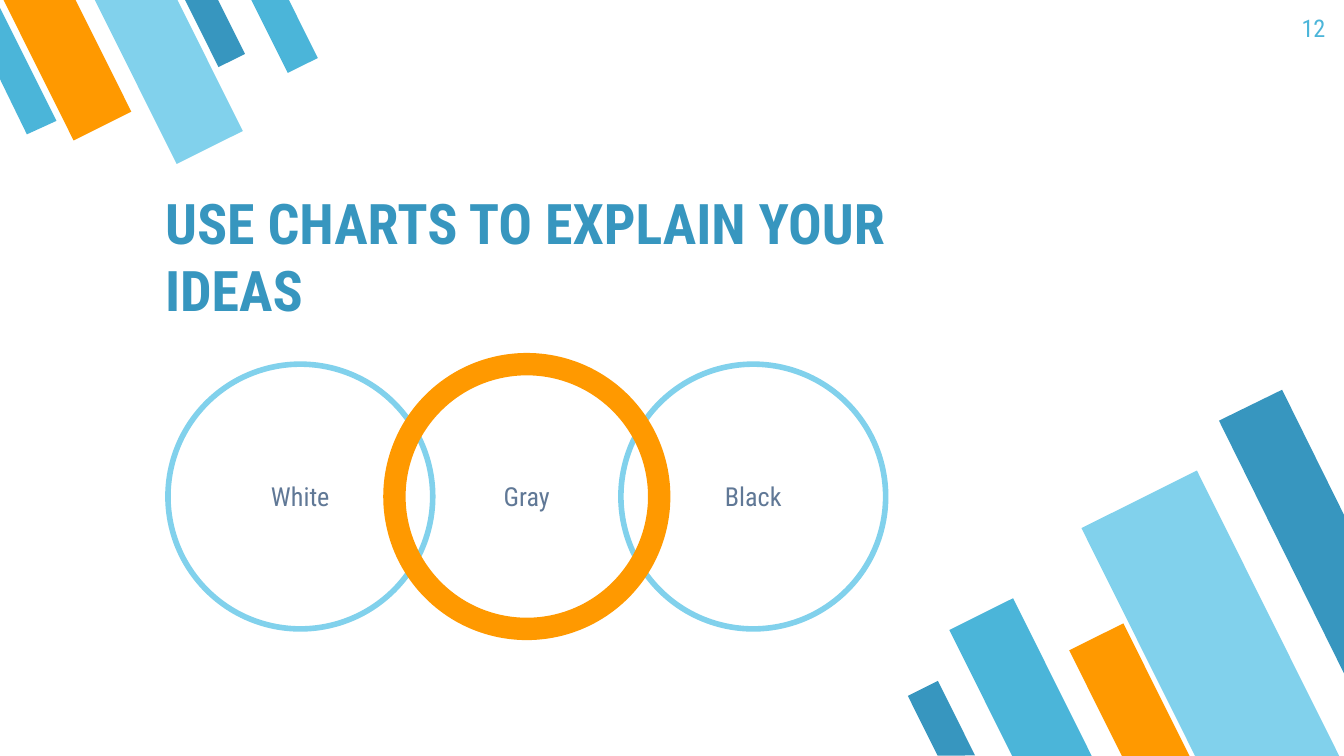
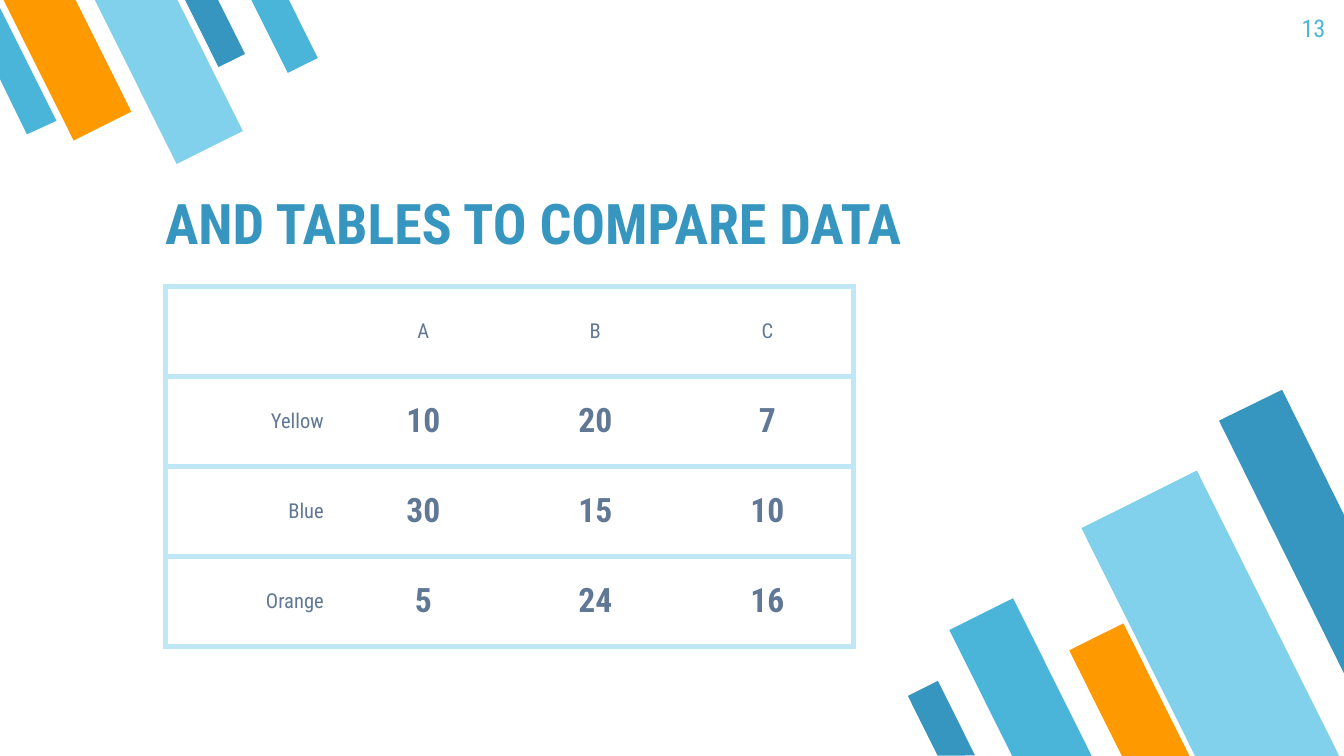
from dataclasses import dataclass
from lxml.etree import SubElement
from pptx import Presentation
from pptx.dml.color import RGBColor as RGB
from pptx.enum.shapes import MSO_SHAPE as SHAPE
from pptx.enum.text import MSO_ANCHOR as ANCHOR, PP_ALIGN as ALIGN
from pptx.oxml.ns import qn
from pptx.util import Inches, Pt


@dataclass(frozen=True)
class Theme:
    font: str = "Roboto Condensed"
    dark: str = "3796BF"
    mid: str = "4BB5D9"
    light: str = "81D1EC"
    pale: str = "C0E7F6"
    accent: str = "FF9900"
    text: str = "607896"
    title_size: int = 30
    value_size: int = 18
    label_size: int = 14
    number_size: int = 13
    head_size: int = 11
    thin: int = 3
    thick: int = 12


T = Theme()
SLIDE_WIDTH = 10
SLIDE_HEIGHT = SLIDE_WIDTH * 9 / 16
FIRST_NUMBER = 12

BAR_GROUPS = [
    (153.5, [
        (7.33, 4.5, 0.53, 1.32, T.mid),
        (8.53, 3.59, 0.96, 2.39, T.light),
        (8.18, 4.68, 0.45, 1.11, T.accent),
        (6.88, 5.09, 0.25, 0.62, T.dark),
    ]),
    (333.5, [
        (1.49, -0.08, 0.22, 0.56, T.dark),
        (0.26, -0.18, 0.48, 1.18, T.accent),
        (0.98, -0.2, 0.55, 1.37, T.light),
        (1.99, -0.1, 0.25, 0.62, T.mid),
    ]),
]
CUT_BARS = [
    ([(9.54, 2.9), (9.07, 3.13), (10, 5.01), (10, 3.83)], T.dark),
    ([(0.2, 1), (0.42, 0.9), (0, 0.06), (0, 0.59)], T.mid),
]

CIRCLES_TITLE = "USE CHARTS TO EXPLAIN YOUR IDEAS"
CIRCLES = [
    (0, "White", T.light, T.thin),
    (2, "Black", T.light, T.thin),
    (1, "Gray", T.accent, T.thick),
]
CIRCLE_LEFT, CIRCLE_LAST, CIRCLE_TOP, CIRCLE_SIZE = 1.25, 4.62, 2.71, 1.97

TABLE_TITLE = "AND TABLES TO COMPARE DATA"
TABLE = [
    ["", "A", "B", "C"],
    ["Yellow", "10", "20", "7"],
    ["Blue", "30", "15", "10"],
    ["Orange", "5", "24", "16"],
]
TABLE_LEFT, TABLE_TOP, COL_WIDTH, ROW_HEIGHT = 1.23, 2.13, 1.28, 0.67


def box(*lengths):
    return [Inches(v) for v in lengths]


def write(tf, text, size, color, align=ALIGN.LEFT, bold=False):
    p = tf.paragraphs[0]
    p.alignment = align
    r = p.add_run()
    r.text = text
    for key, value in dict(name=T.font, size=Pt(size), bold=bold).items():
        setattr(r.font, key, value)
    r.font.color.rgb = RGB.from_string(color)


def frame(tf, anchor):
    inset = Inches(0.1)
    settings = dict(word_wrap=True, vertical_anchor=anchor, margin_left=inset,
                    margin_right=inset, margin_top=inset, margin_bottom=inset)
    for key, value in settings.items():
        setattr(tf, key, value)
    return tf


def paint(sp, color):
    sp.shadow.inherit = False
    sp.fill.solid()
    sp.fill.fore_color.rgb = RGB.from_string(color)
    sp.line.fill.background()


def add_bars(s):
    for rotation, bars in BAR_GROUPS:
        for *place, color in bars:
            sp = s.shapes.add_shape(SHAPE.FLOWCHART_MANUAL_INPUT, *box(*place))
            sp.rotation = rotation
            sp.element.spPr.find(qn("a:xfrm")).set("flipH", "1")
            paint(sp, color)
    for points, color in CUT_BARS:
        start, *rest = [box(*point) for point in points]
        outline = s.shapes.build_freeform(*start)
        outline.add_line_segments(rest, close=True)
        paint(outline.convert_to_shape(), color)


def add_slide(prs, title, title_top, number):
    s = prs.slides.add_slide(prs.slide_layouts[6])
    add_bars(s)
    sp = s.shapes.add_textbox(*box(1.13, title_top, 6.3, 0.74))
    write(frame(sp.text_frame, ANCHOR.BOTTOM), title, T.title_size, T.dark, bold=True)
    sp = s.shapes.add_textbox(*box(9.36, 0, 0.6, 0.43))
    write(frame(sp.text_frame, ANCHOR.TOP), str(number), T.number_size, T.mid, ALIGN.RIGHT)
    return s


def add_circles(s):
    step = (CIRCLE_LAST - CIRCLE_LEFT) / (len(CIRCLES) - 1)
    for i, label, color, width in CIRCLES:
        place = box(CIRCLE_LEFT + i * step, CIRCLE_TOP, CIRCLE_SIZE, CIRCLE_SIZE)
        sp = s.shapes.add_shape(SHAPE.OVAL, *place)
        sp.shadow.inherit = False
        sp.fill.background()
        sp.line.color.rgb = RGB.from_string(color)
        sp.line.width = Pt(width)
        write(frame(sp.text_frame, ANCHOR.MIDDLE), label, T.label_size, T.text, ALIGN.CENTER)


def set_borders(cell, visible):
    tcPr = cell._tc.get_or_add_tcPr()
    for side in "LRTB":
        ln = SubElement(tcPr, qn(f"a:ln{side}"), w=str(Pt(T.thin)))
        if side in visible:
            fill = SubElement(ln, qn("a:solidFill"))
            SubElement(fill, qn("a:srgbClr"), val=T.pale)
        else:
            SubElement(ln, qn("a:noFill"))


def add_table(s):
    rows, cols = len(TABLE), len(TABLE[0])
    place = box(TABLE_LEFT, TABLE_TOP, cols * COL_WIDTH, rows * ROW_HEIGHT)
    table = s.shapes.add_table(rows, cols, *place).table
    table.first_row = table.horz_banding = False
    for i, row in enumerate(TABLE):
        for j, text in enumerate(row):
            cell = table.cell(i, j)
            cell.vertical_anchor = ANCHOR.MIDDLE
            cell.margin_left = cell.margin_right = Inches(0.1)
            cell.margin_top = cell.margin_bottom = Inches(0.07)
            set_borders(cell, "TB" + "L" * (j == 0) + "R" * (j == cols - 1))
            cell.fill.background()
            if text:
                value = i > 0 and j > 0
                write(cell.text_frame, text, T.value_size if value else T.head_size,
                      T.text, ALIGN.CENTER if j else ALIGN.RIGHT, value)


def main():
    prs = Presentation()
    prs.slide_width, prs.slide_height = box(SLIDE_WIDTH, SLIDE_HEIGHT)
    pages = [(CIRCLES_TITLE, 1.76, add_circles), (TABLE_TITLE, 1.26, add_table)]
    for number, (title, top, add_content) in enumerate(pages, FIRST_NUMBER):
        add_content(add_slide(prs, title, top, number))
    prs.save("out.pptx")


if __name__ == "__main__":
    main()
